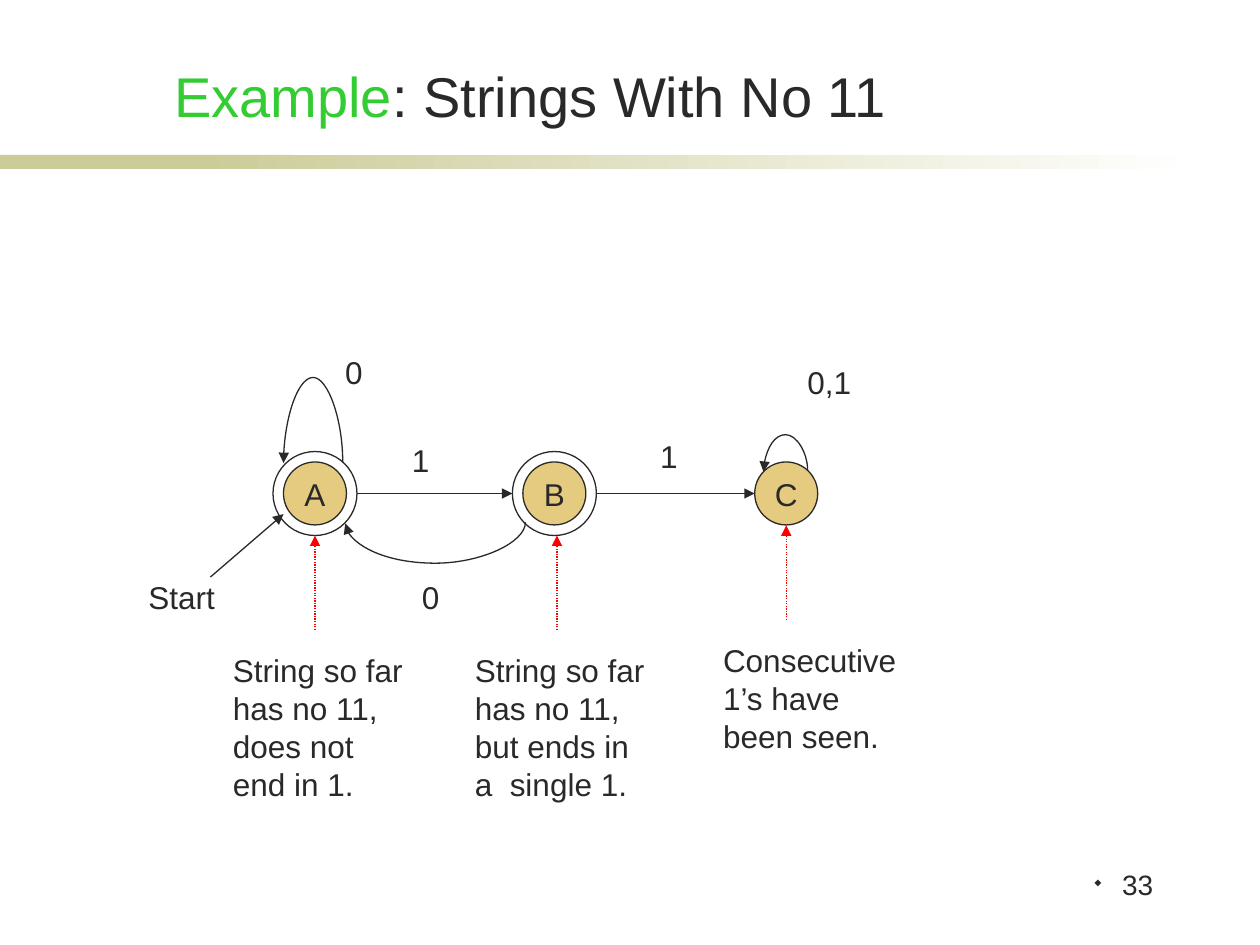
from dataclasses import dataclass

from lxml.etree import SubElement
from pptx import Presentation
from pptx.dml.color import RGBColor
from pptx.enum.dml import MSO_LINE
from pptx.enum.shapes import MSO_CONNECTOR, MSO_SHAPE
from pptx.enum.text import MSO_ANCHOR, PP_ALIGN
from pptx.oxml.ns import qn
from pptx.util import Inches, Pt


@dataclass(frozen=True)
class Theme:
    font: str = "Arial"
    mark: str = "Wingdings"
    ink: RGBColor = RGBColor(0x29, 0x29, 0x29)
    green: RGBColor = RGBColor(0x33, 0xCC, 0x33)
    red: RGBColor = RGBColor(0xFF, 0, 0)
    gold: RGBColor = RGBColor(0xCC, 0x99, 0)
    sand: RGBColor = RGBColor(0xCC, 0xCC, 0x99)
    white: RGBColor = RGBColor(0xFF, 0xFF, 0xFF)
    title: int = 32
    body: int = 18
    page: int = 16
    line: float = 0.75


THEME = Theme()
MID = 47 / 12  # height of the row of states
INNER, OUTER = 0.25, 1 / 3  # radii
STATES = {"A": 2.5, "B": 4.4, "C": 6.24}


def style(run, size, color=THEME.ink):
    run.font.name = THEME.font
    run.font.size = Pt(size)
    run.font.color.rgb = color


def add_text(slide, text, left, top, width, height, size=THEME.body, wrap=False):
    box = slide.shapes.add_textbox(
        Inches(left), Inches(top), Inches(width), Inches(height))
    frame = box.text_frame
    frame.text = text
    frame.word_wrap = wrap
    for par in frame.paragraphs:
        for run in par.runs:
            style(run, size)
    return frame


def add_title(slide):
    frame = add_text(slide, "Example", 1.14, 0.44, 6.14, 0.63, THEME.title, True)
    frame.vertical_anchor = MSO_ANCHOR.BOTTOM
    par = frame.paragraphs[0]
    par.alignment = PP_ALIGN.CENTER
    par.runs[0].font.color.rgb = THEME.green
    rest = par.add_run()
    rest.text = ": Strings With No 11"
    style(rest, THEME.title)


def add_page(slide):
    """Page number; the symbol font draws its bullet letter as a diamond."""
    frame = add_text(slide, "33", 8.23, 6.87, 1.02, 0.5, THEME.page, True)
    par = frame.paragraphs[0]
    par.alignment = PP_ALIGN.RIGHT
    par.line_spacing = 0.9
    par.space_before = Pt(3.2)
    props = par._p.get_or_add_pPr()
    props.set("marL", str(Inches(0.23)))
    props.set("indent", str(-Inches(0.23)))
    color = SubElement(props, qn("a:buClr"))
    SubElement(color, qn("a:srgbClr"), val=str(THEME.ink))
    SubElement(props, qn("a:buSzPct"), val="60000")
    SubElement(props, qn("a:buFont"), typeface=THEME.mark, charset="2")
    SubElement(props, qn("a:buChar"), char="w")


def add_bar(slide, left, width, fade=False):
    bar = slide.shapes.add_shape(
        MSO_SHAPE.RECTANGLE, Inches(left), Inches(1.23), Inches(width), Inches(0.11))
    bar.shadow.inherit = False
    bar.line.fill.background()
    if fade:
        bar.fill.gradient()
        bar.fill.gradient_angle = 0
        for stop, color in zip(bar.fill.gradient_stops, (THEME.sand, THEME.white)):
            stop.color.rgb = color
    else:
        bar.fill.solid()
        bar.fill.fore_color.rgb = THEME.sand


def add_ring(slide, x, radius):
    ring = slide.shapes.add_shape(
        MSO_SHAPE.OVAL, Inches(x - radius), Inches(MID - radius),
        Inches(2 * radius), Inches(2 * radius))
    ring.shadow.inherit = False
    ring.fill.background()
    ring.line.color.rgb = THEME.ink
    ring.line.width = Pt(THEME.line)
    return ring


def add_state(slide, name, x, final):
    disc = add_ring(slide, x, INNER)
    disc.fill.solid()
    disc.fill.fore_color.rgb = THEME.gold
    color = disc._element.spPr.find(qn("a:solidFill"))[0]
    SubElement(color, qn("a:alpha"), val="50000")
    frame = disc.text_frame
    frame.text = name
    frame.word_wrap = False
    frame.vertical_anchor = MSO_ANCHOR.MIDDLE
    par = frame.paragraphs[0]
    par.alignment = PP_ALIGN.CENTER
    style(par.runs[0], THEME.body)
    if final:
        add_ring(slide, x, OUTER)


def add_arrow(slide, x1, y1, x2, y2, color=THEME.ink, kind=MSO_CONNECTOR.STRAIGHT):
    arrow = slide.shapes.add_connector(
        kind, Inches(x1), Inches(y1), Inches(x2), Inches(y2))
    arrow.line.color.rgb = color
    arrow.line.width = Pt(THEME.line)
    SubElement(arrow.line._get_or_add_ln(), qn("a:tailEnd"), type="triangle")
    SubElement(arrow._element.spPr, qn("a:effectLst"))
    return arrow


def add_curve(slide, right, left, y, bulge):
    """Arrow from right to left at height y, bowed down by bulge (up if negative)."""
    x, half, thin = (left + right) / 2, (right - left) / 2, 0.01
    curve = add_arrow(slide, x - thin / 2, y - half, x + thin / 2, y + half,
                      kind=MSO_CONNECTOR.CURVE)
    curve._element.spPr.xfrm.set("rot", "5400000")
    geom = curve._element.spPr.find(qn("a:prstGeom"))
    guides = geom.find(qn("a:avLst"))
    if guides is None:
        guides = SubElement(geom, qn("a:avLst"))
    SubElement(guides, qn("a:gd"), name="adj1",
               fmla=f"val {round(bulge / thin * 100000)}")


def add_note(slide, lines, left, top, x, tip):
    add_text(slide, "\n".join(lines), left, top, 2, 0.4 * len(lines) + 0.1)
    arrow = add_arrow(slide, x, tip + 0.75, x, tip, THEME.red)
    arrow.line.dash_style = MSO_LINE.ROUND_DOT


def main():
    deck = Presentation()
    deck.slide_width, deck.slide_height = Inches(10), Inches(7.5)
    slide = deck.slides.add_slide(deck.slide_layouts[6])

    add_bar(slide, 0, 2.33)
    add_bar(slide, 1.58, 7.92, fade=True)
    add_page(slide)
    add_title(slide)

    for name, x in STATES.items():
        add_state(slide, name, x, final=name != "C")
    a, b, c = STATES.values()
    add_arrow(slide, 1.67, 4.58, a - INNER, 4.08)
    add_arrow(slide, a + OUTER, MID, b - OUTER, MID)
    add_arrow(slide, b + OUTER, MID, c - INNER, MID)
    add_curve(slide, 2.72, 2.25, 3.67, -0.68)
    add_curve(slide, 4.17, 2.74, 4.15, 0.33)
    add_curve(slide, 6.41, 6.06, 3.74, -0.29)

    for text, left, top, width in (
        ("Start", 1.08, 4.54, 0.9),
        ("0", 2.64, 2.75, 0.38),
        ("1", 3.17, 3.45, 0.38),
        ("0", 3.25, 4.54, 0.38),
        ("1", 5.14, 3.42, 0.38),
        ("0,1", 6.31, 2.83, 0.67),
    ):
        add_text(slide, text, left, top, width, 0.5)

    start = ["String so far", "has no 11,"]
    add_note(slide, start + ["does not", "end in 1."], 1.75, 5.12, a, 4.25)
    add_note(slide, start + ["but ends in", "a  single 1."], 3.67, 5.12, 4.42, 4.25)
    add_note(slide, ["Consecutive", "1’s have", "been seen."], 5.64, 5.04, c, 4.17)

    deck.save("out.pptx")


if __name__ == "__main__":
    main()
